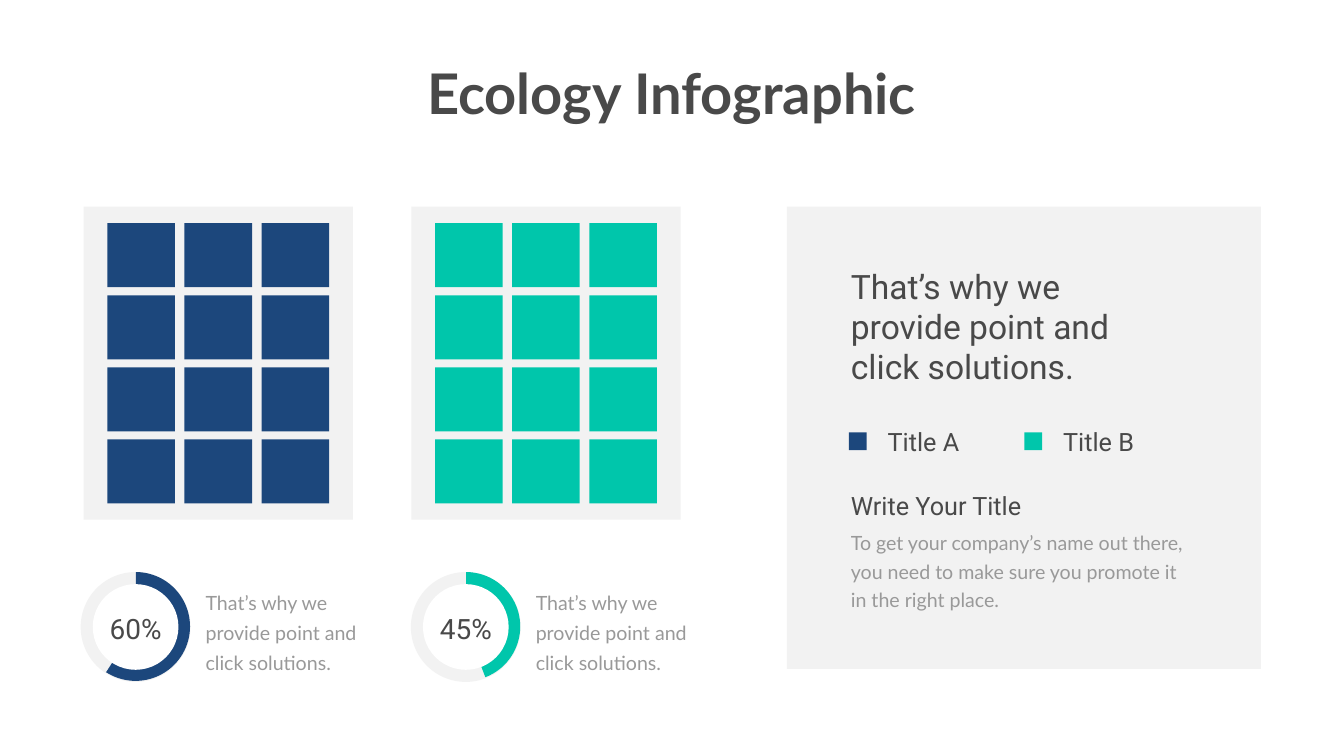
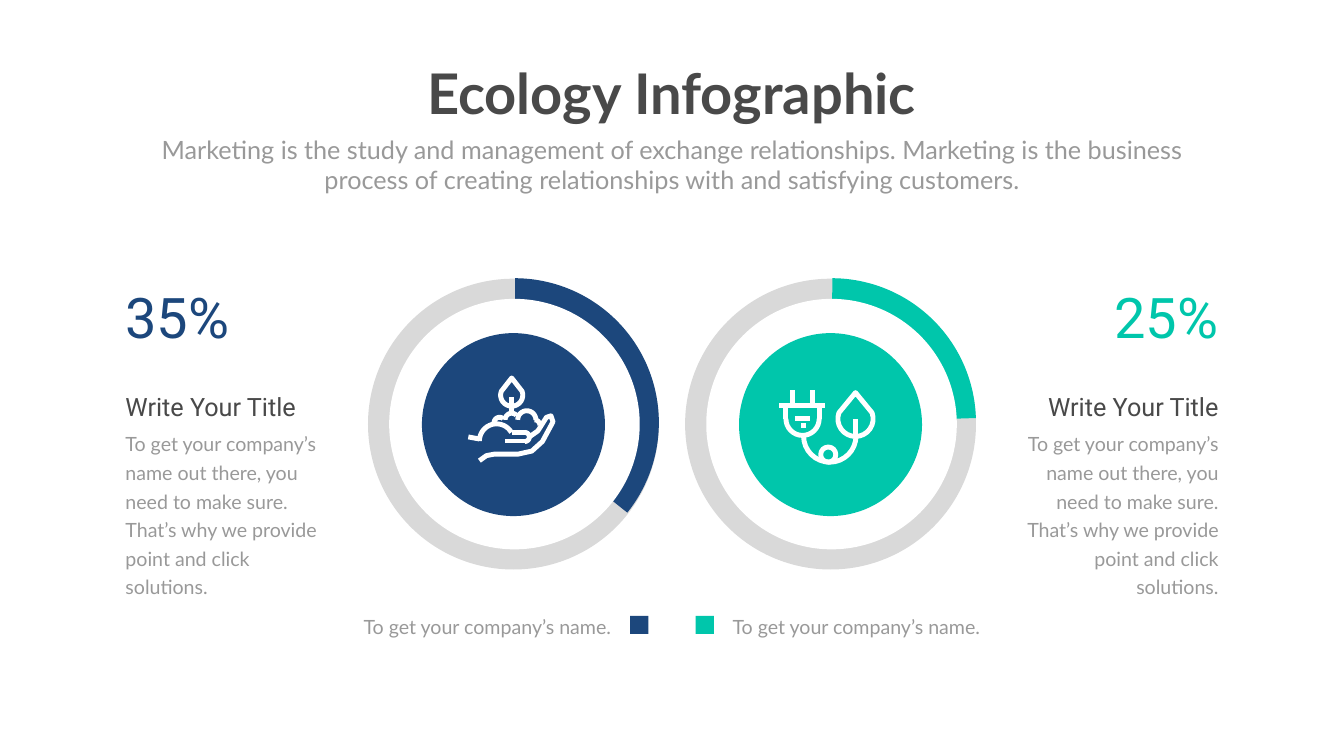
from math import cos, radians, sin

from lxml import etree
from pptx import Presentation
from pptx.dml.color import RGBColor
from pptx.enum.shapes import MSO_CONNECTOR, MSO_SHAPE as SHAPE
from pptx.enum.text import MSO_ANCHOR, MSO_AUTO_SIZE, PP_ALIGN as ALIGN
from pptx.oxml.ns import qn
from pptx.util import Inches, Pt

# Colours
NAVY = RGBColor(0x1C, 0x47, 0x7C)
TEAL = RGBColor(0x00, 0xC6, 0xAB)
DARK = RGBColor(0x49, 0x49, 0x49)
TEXT_GRAY = RGBColor(0x99, 0x99, 0x99)
PANEL_GRAY = RGBColor(0x80, 0x80, 0x80)
PALE = RGBColor(0xF2, 0xF2, 0xF2)
TRACK = RGBColor(0xD9, 0xD9, 0xD9)
WHITE = RGBColor(0xFF, 0xFF, 0xFF)

# Font formats
STYLES = {
    "title": {"name": "Lato", "size": Pt(80), "bold": True},
    "subtitle": {"name": "Lato", "size": Pt(36)},
    "body": {"name": "Lato", "size": Pt(28)},
    "figure": {"name": "Roboto", "size": Pt(80)},
    "lead": {"name": "Roboto", "size": Pt(48)},
    "percent": {"name": "Roboto", "size": Pt(40)},
    "heading": {"name": "Roboto", "size": Pt(36)},
}
LEADING = Pt(40.8)
ICON_LINE = Pt(7)
START = 270.32
TITLE = "Ecology Infographic"
HEADING = "Write Your Title"
SLOGAN = "That’s why we provide point and click solutions."
TITLE_BOX = (8.27, 1.12, 10.11, 1.45)

# The slide is a grid of 26.66 columns and 15 rows
COLS, ROWS = 26.66, 15
prs = Presentation()
prs.slide_width, prs.slide_height = Inches(COLS), Inches(ROWS)
COL, ROW = prs.slide_width / COLS, prs.slide_height / ROWS


def add_block(slide, kind, box, color, alpha=None, end=None):
    x, y, w, h = box
    sp = slide.shapes.add_shape(kind, int(x * COL), int(y * ROW), int(w * COL), int(h * ROW))
    sp.shadow.inherit = False
    sp.fill.solid()
    sp.fill.fore_color.rgb = color
    sp.line.fill.background()
    if alpha:
        clr = sp.fill._xPr.find(qn("a:solidFill"))[0]
        etree.SubElement(clr, qn("a:alpha")).set("val", str(alpha * 1000))
    if end is not None:
        sp.adjustments[0], sp.adjustments[1] = START * 0.6, end * 0.6


def write(slide, box, text, style, color, align=ALIGN.LEFT, leading=None,
          margins=(0.1, 0.05), sp=None):
    sp = sp or slide.shapes.add_textbox(0, 0, 0, 0)
    x, y, w, h = box
    sp.left, sp.top, sp.width, sp.height = int(x * COL), int(y * ROW), int(w * COL), int(h * ROW)
    tf = sp.text_frame
    side, edge = (Inches(m) for m in margins)
    frame = {"word_wrap": style != "title", "auto_size": MSO_AUTO_SIZE.NONE,
             "vertical_anchor": MSO_ANCHOR.TOP, "margin_left": side, "margin_right": side,
             "margin_top": edge, "margin_bottom": edge}
    for name, value in frame.items():
        setattr(tf, name, value)
    p = tf.paragraphs[0]
    p.alignment, p.space_before = align, Pt(0)
    if leading:
        p.line_spacing = leading
    r = p.add_run()
    r.text = text
    for name, value in STYLES[style].items():
        setattr(r.font, name, value)
    r.font.color.rgb = color


# Slide 1: title
s = prs.slides.add_slide(prs.slide_layouts[5])
write(s, TITLE_BOX, TITLE, "title", DARK, ALIGN.CENTER, sp=s.shapes.title)

# Slide 1: tile panels, each with a progress ring below
panels = [(NAVY, 1.66, 1.6, 3.33, "60%", 122.77), (TEAL, 8.16, 8.15, 3.77, "45%", 68.9)]
for color, left, ring, text_w, percent, end in panels:
    add_block(s, SHAPE.RECTANGLE, (left, 4.1, 5.34, 6.21), PANEL_GRAY, alpha=10)
    for i in range(12):
        row, col = divmod(i, 3)
        tile = (left + 0.47 + col * 1.53, 4.43 + row * 1.43, 1.34, 1.27)
        add_block(s, SHAPE.RECTANGLE, tile, color)
    add_block(s, SHAPE.OVAL, (ring, 11.35, 2.18, 2.18), PALE)
    add_block(s, SHAPE.PIE, (ring + 0.01, 11.35, 2.16, 2.16), color, end=end)
    add_block(s, SHAPE.OVAL, (ring + 0.24, 11.59, 1.7, 1.7), WHITE)
    write(s, (ring + 0.3, 12.09, 1.58, 0.72), percent, "percent", DARK, ALIGN.CENTER)
    write(s, (ring + 2.38, 11.55, text_w, 1.84), SLOGAN, "body", TEXT_GRAY, leading=Pt(43))

# Slide 1: summary panel with legend
add_block(s, SHAPE.RECTANGLE, (15.61, 4.1, 9.4, 9.17), PANEL_GRAY, alpha=10)
write(s, (16.78, 5.22, 6.14, 2.52), SLOGAN, "lead", DARK)
write(s, (16.78, 9.68, 5.73, 0.71), HEADING, "heading", DARK)
write(s, (16.78, 10.39, 7.04, 1.77),
      "To get your company’s name out there, you need to make sure you promote it "
      "in the right place.", "body", TEXT_GRAY, leading=LEADING)
for x, label, color in [(16.84, "Title A", NAVY), (20.32, "Title B", TEAL)]:
    add_block(s, SHAPE.RECTANGLE, (x, 8.58, 0.35, 0.35), color)
    write(s, (x + 0.67, 8.4, 2.48, 0.71), label, "heading", DARK)

# Slide 2: title and subtitle
s = prs.slides.add_slide(prs.slide_layouts[0])
write(s, TITLE_BOX, TITLE, "title", DARK, ALIGN.CENTER, sp=s.shapes.title)
write(s, (2.92, 2.61, 20.82, 1.31),
      "Marketing is the study and management of exchange relationships. Marketing is the "
      "business process of creating relationships with and satisfying customers.",
      "subtitle", TEXT_GRAY, ALIGN.CENTER, sp=s.placeholders[1])

# Slide 2: rings, side texts and legend
sides = [
    (NAVY, 7.3, 38.59, 2.39, 2.39, "35%", ALIGN.LEFT, 12.5, 6.57, ALIGN.RIGHT),
    (TEAL, 13.59, 358.19, 19.92, 21.76, "25%", ALIGN.RIGHT, 13.8, 14.29, ALIGN.LEFT),
]
for color, ring, end, text_x, figure_x, figure, align, key_x, caption_x, caption_align in sides:
    add_block(s, SHAPE.OVAL, (ring, 5.53, 5.77, 5.77), TRACK)
    add_block(s, SHAPE.PIE, (ring + 0.04, 5.52, 5.73, 5.73), color, end=end)
    add_block(s, SHAPE.OVAL, (ring + 0.42, 5.93, 4.97, 4.97), WHITE)
    add_block(s, SHAPE.OVAL, (ring + 1.07, 6.61, 3.63, 3.63), color)
    write(s, (figure_x, 5.55, 2.51, 1.45), figure, "figure", color, align)
    write(s, (text_x, 7.72, 4.35, 0.71), HEADING, "heading", DARK, align)
    write(s, (text_x, 8.43, 4.35, 2.92),
          "To get your company’s name out there, you need to make sure. " + SLOGAN,
          "body", TEXT_GRAY, align, LEADING)
    add_block(s, SHAPE.RECTANGLE, (key_x, 12.22, 0.36, 0.36), color)
    write(s, (caption_x, 11.98, 5.79, 0.75), "To get your company’s name.", "body", TEXT_GRAY,
          caption_align, LEADING, (0.24, 0.12))

# Slide 2: icon arcs as centre, radius, first and last angle, height of a leaf's tip
arcs = [
    (16.97, 8.31, 0.35, -20, 200, 0.52),  # leaf beside the plug
    (15.92, 8.31, 0.33, 0, 180, 0),       # plug body
    (16.46, 8.65, 0.52, 0, 180, 0),       # cable
    (16.43, 9.02, 0.15, 0, 360, 0),       # cable loop
    (10.15, 7.84, 0.22, -20, 200, 0.34),  # leaf above the hand
    (10.45, 8.33, 0.18, 180, 360, 0),     # soil
    (10.15, 8.33, 0.13, 180, 315, 0),
    (9.91, 8.39, 0.11, 180, 310, 0),
    (10.6, 8.44, 0.11, 270, 360, 0),
    (9.85, 8.75, 0.34, 180, 330, 0),      # palm
    (10.41, 8.67, 0.09, -90, 90, 0),      # thumb
]
STEPS = 16
outlines = []
for cx, cy, radius, first, last, tip in arcs:
    angles = [radians(first + (last - first) * i / STEPS) for i in range(STEPS + 1)]
    pts = [(cx + radius * cos(a), cy + radius * sin(a)) for a in angles]
    outlines.append([(cx, cy - tip)] + pts + [(cx, cy - tip)] if tip else pts)
# Lower edge of the hand
outlines.append([(10.5, 8.67), (10.67, 8.55), (10.84, 8.28), (10.93, 8.25), (10.97, 8.37),
                 (10.76, 8.76), (10.55, 8.95), (10.28, 9.01), (9.81, 9.01), (9.65, 9.04),
                 (9.51, 9.14)])
for pts in outlines:
    pts = [(int(x * COL), int(y * ROW)) for x, y in pts]
    fb = s.shapes.build_freeform(*pts[0])
    fb.add_line_segments(pts[1:], close=pts[0] == pts[-1])
    sp = fb.convert_to_shape()
    sp.shadow.inherit = False
    sp.fill.background()
    sp.line.color.rgb, sp.line.width = WHITE, ICON_LINE

# Slide 2: straight icon strokes as start, run and rise
PLUG, BAR = 15.92, 8.05
strokes = [
    (PLUG - 0.46, BAR, 0.91, 0), (PLUG - 0.15, 8.31, 0.3, 0), (PLUG - 0.03, 8.44, 0.09, 0),
    (16.97, 8.31, 0, 0.34), (10.15, 7.88, 0, 0.36), (10.15, 8.58, 0.26, 0),
    (10.02, 8.75, 0.39, 0), (9.29, 8.67, 0.22, 0.04),
]
for sign in (-1, 1):
    strokes.append((PLUG + sign * 0.33, BAR, 0, 0.26))
    strokes.append((PLUG + sign * 0.2, BAR, 0, -0.31))
for x, y, run, rise in strokes:
    ln = s.shapes.add_connector(MSO_CONNECTOR.STRAIGHT, int(x * COL), int(y * ROW),
                                int((x + run) * COL), int((y + rise) * ROW))
    ln.line.color.rgb, ln.line.width = WHITE, ICON_LINE
    etree.SubElement(ln._element.spPr, qn("a:effectLst"))

prs.save("out.pptx")
